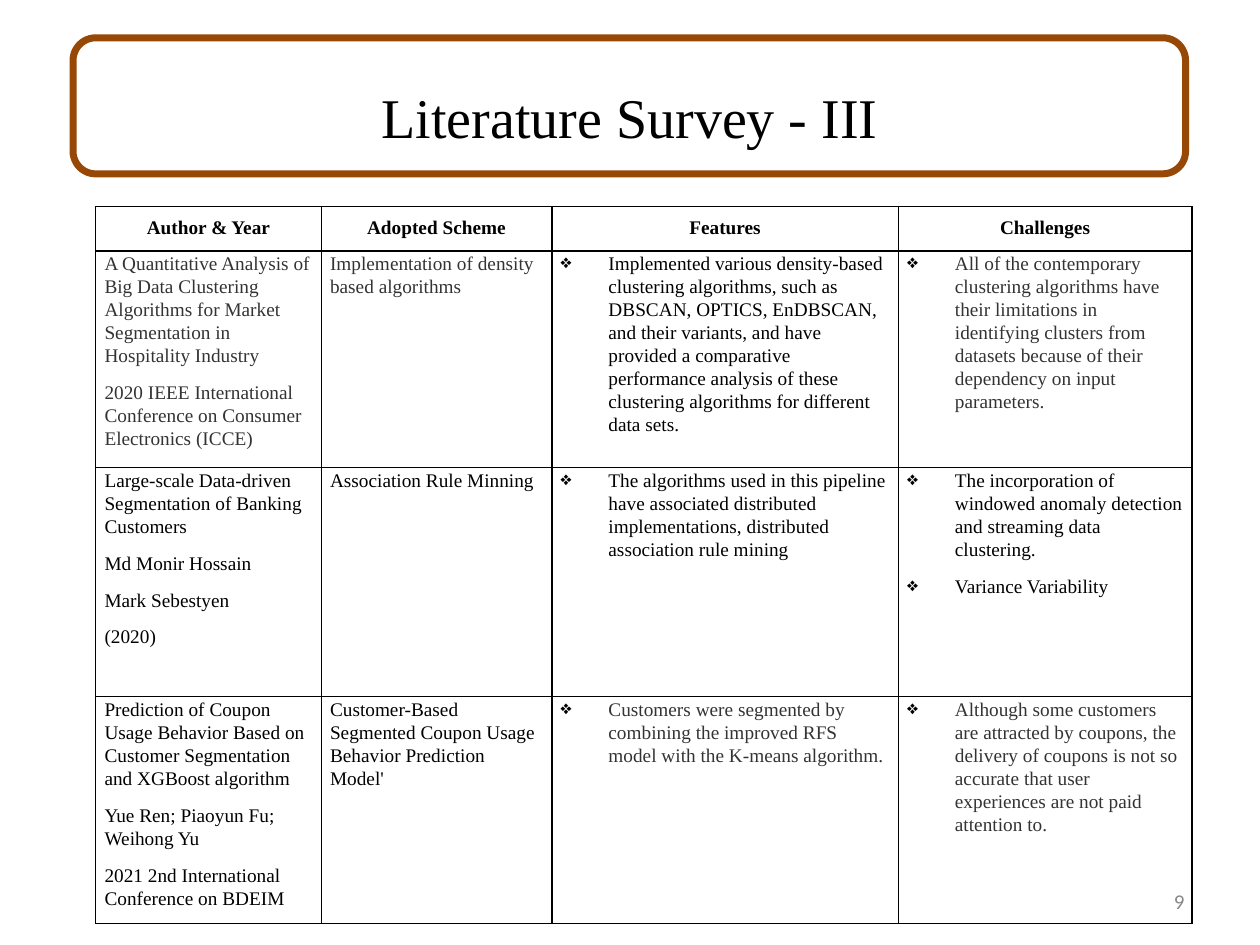
from pptx import Presentation
from pptx.dml.color import RGBColor
from pptx.enum.shapes import MSO_SHAPE
from pptx.enum.text import MSO_ANCHOR, PP_ALIGN
from pptx.oxml import parse_xml
from pptx.oxml.ns import nsdecls
from pptx.util import Inches, Pt

HUES = {"ink": "000000", "soft": "333333", "frame": "974806", "page": "888888"}
SERIF = "Times New Roman"
TITLE = "Literature Survey - III"
PAGE = "9"
COLS = [1.79, 1.83, 2.75, 2.33]
ROWS = [0.35, 1.72, 1.82, 1.69]
HEADS = ["Author & Year", "Adopted Scheme", "Features", "Challenges"]
LISTED = {"Features", "Challenges"}

# Each cell: colour name, paragraphs
STUDIES = [
    [("soft", ["A Quantitative Analysis of Big Data Clustering Algorithms for Market "
               "Segmentation in Hospitality Industry",
               "2020 IEEE International Conference on Consumer Electronics (ICCE)"]),
     ("soft", ["Implementation of density based algorithms"]),
     ("ink", ["Implemented various density-based clustering algorithms, such as DBSCAN, "
              "OPTICS, EnDBSCAN, and their variants, and have provided a comparative "
              "performance analysis of these clustering algorithms for different data sets."]),
     ("soft", ["All of the contemporary clustering algorithms have their limitations in "
               "identifying clusters from datasets because of their dependency on input "
               "parameters."])],
    [("ink", ["Large-scale Data-driven Segmentation of Banking Customers",
              "Md Monir Hossain", "Mark Sebestyen", "(2020)"]),
     ("ink", ["Association Rule Minning"]),
     ("ink", ["The algorithms used in this pipeline have associated distributed "
              "implementations, distributed association rule mining"]),
     ("ink", ["The incorporation of windowed anomaly detection and streaming data clustering.",
              "Variance Variability"])],
    [("ink", ["Prediction of Coupon Usage Behavior Based on Customer Segmentation and "
              "XGBoost algorithm",
              "Yue Ren; Piaoyun Fu; Weihong Yu",
              "2021 2nd International Conference on BDEIM"]),
     ("ink", ["Customer-Based Segmented Coupon Usage Behavior Prediction Model'"]),
     ("soft", ["Customers were segmented by combining the improved RFS model with the "
               "K-means algorithm."]),
     ("soft", ["Although some customers are attracted by coupons, the delivery of coupons "
               "is not so accurate that user experiences are not paid attention to."])],
]


def rgb(name):
    return RGBColor.from_string(HUES[name])


def assign(item, values):
    for key, value in values.items():
        setattr(item, key, value)


def place(shape, *box):
    assign(shape, dict(zip(("left", "top", "width", "height"), map(Inches, box))))


def write(para, text, hue, size, face=SERIF, bold=False, **layout):
    para.text = text
    assign(para, layout)
    assign(para.font, {"name": face, "size": Pt(size), "bold": bold})
    para.font.color.rgb = rgb(hue)


def bullet(para):
    props = para._p.get_or_add_pPr()
    props.set("marL", str(Inches(0.38)))
    props.set("indent", str(-Inches(0.38)))
    for part in (f'<a:buClr {nsdecls("a")}><a:srgbClr val="{HUES["ink"]}"/></a:buClr>',
                 f'<a:buChar {nsdecls("a")} char="❖"/>'):
        props.append(parse_xml(part))


def dress(cell, top):
    """Set margins, black borders and an empty fill."""
    assign(cell, {"margin_left": Inches(0.07), "margin_right": Inches(0.07),
                  "margin_top": Inches(top), "margin_bottom": 0})
    props = cell._tc.get_or_add_tcPr()
    for side in "LRTB":
        props.append(parse_xml(
            f'<a:ln{side} {nsdecls("a")} w="{Pt(1)}"><a:solidFill>'
            f'<a:srgbClr val="{HUES["ink"]}"/></a:solidFill></a:ln{side}>'))
    cell.fill.background()


def fill_table(table):
    assign(table, {"first_row": False, "horz_banding": False})
    for col, width in zip(table.columns, COLS):
        col.width = Inches(width)
    for row, height in zip(table.rows, ROWS):
        row.height = Inches(height)
    for c, head in enumerate(HEADS):
        cell = table.cell(0, c)
        dress(cell, 0)
        write(cell.text_frame.paragraphs[0], head, "ink", 11, bold=True,
              alignment=PP_ALIGN.CENTER, line_spacing=1.5)
    for r, study in enumerate(STUDIES, 1):
        for c, (hue, texts) in enumerate(study):
            cell = table.cell(r, c)
            dress(cell, 0.01)
            frame = cell.text_frame
            for i, text in enumerate(texts):
                para = frame.add_paragraph() if i else frame.paragraphs[0]
                if HEADS[c] in LISTED:
                    bullet(para)
                write(para, text, hue, 11, line_spacing=1.07,
                      space_before=Pt(8 if i else 0))


def main():
    deck = Presentation()
    assign(deck, {"slide_width": Inches(10), "slide_height": Inches(7.5)})
    slide = deck.slides.add_slide(deck.slide_layouts[5])
    shapes = slide.shapes

    title = shapes.title
    place(title, 0.5, 0.3, 9, 1.25)
    title.text_frame.vertical_anchor = MSO_ANCHOR.MIDDLE
    write(title.text_frame.paragraphs[0], TITLE, "ink", 32, alignment=PP_ALIGN.CENTER)

    number = shapes.add_textbox(0, 0, 0, 0)
    place(number, 7.17, 6.95, 2.33, 0.4)
    assign(number.text_frame, {"word_wrap": True, "vertical_anchor": MSO_ANCHOR.MIDDLE})
    write(number.text_frame.paragraphs[0], PAGE, "page", 12, "Calibri",
          alignment=PP_ALIGN.RIGHT)

    border = shapes.add_shape(MSO_SHAPE.FLOWCHART_ALTERNATE_PROCESS, 0, 0, 0, 0)
    place(border, 0.58, 0.3, 8.83, 1.08)
    border.shadow.inherit = False
    border.fill.background()
    border.line.color.rgb = rgb("frame")
    border.line.width = Pt(4)

    grid = shapes.add_table(len(ROWS), len(COLS), Inches(0.76), Inches(1.64),
                            Inches(sum(COLS)), Inches(sum(ROWS)))
    fill_table(grid.table)
    deck.save("out.pptx")


if __name__ == "__main__":
    main()
